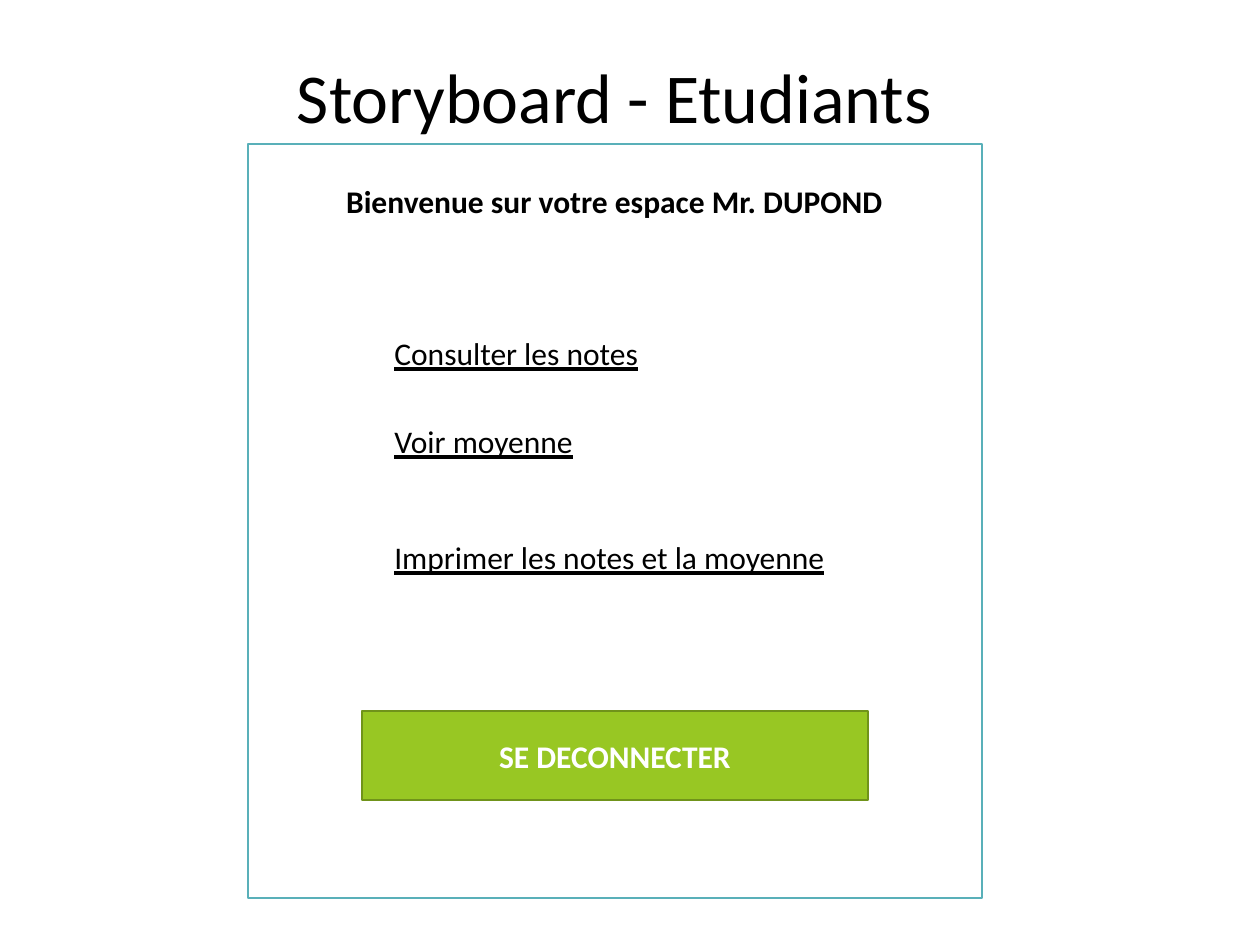
import pptx
import pptx.util
import pptx.dml.color
import pptx.enum.shapes
import pptx.enum.text
from dataclasses import dataclass

PX = 914400 / 126
ALIGN = pptx.enum.text.PP_ALIGN
ANCHOR = pptx.enum.text.MSO_ANCHOR


@dataclass(frozen=True)
class Theme:
    font: str = "Calibri"
    title_size: int = 40
    body_size: int = 18
    line_width: float = 1.25
    text: str = "000000"
    paper: str = "FFFFFF"
    panel_line: str = "59B0B9"
    button_fill: str = "98C723"
    button_line: str = "70931A"


THEME = Theme()


def emu(*lengths):
    return [pptx.util.Emu(round(length * PX)) for length in lengths]


def rgb(code):
    return pptx.dml.color.RGBColor.from_string(code)


def write(shape, text, size=THEME.body_size, color=THEME.text,
          align=ALIGN.LEFT, anchor=ANCHOR.TOP, bold=False, underline=False):
    frame = shape.text_frame
    frame.text = text
    frame.word_wrap = True
    frame.vertical_anchor = anchor
    paragraph = frame.paragraphs[0]
    paragraph.alignment = align
    font = paragraph.font
    font.name = THEME.font
    font.size = pptx.util.Pt(size)
    font.bold = bold
    font.underline = underline
    font.color.rgb = rgb(color)


def add_title(slide, text, box):
    title = slide.shapes.title
    title.left, title.top, title.width, title.height = emu(*box)
    write(title, text, THEME.title_size, align=ALIGN.CENTER,
          anchor=ANCHOR.MIDDLE)


def add_box(shapes, box, fill, line):
    rectangle = shapes.add_shape(
        pptx.enum.shapes.MSO_SHAPE.RECTANGLE, *emu(*box))
    rectangle.shadow.inherit = False
    rectangle.fill.solid()
    rectangle.fill.fore_color.rgb = rgb(fill)
    rectangle.line.color.rgb = rgb(line)
    rectangle.line.width = pptx.util.Pt(THEME.line_width)
    return rectangle


def add_label(shapes, text, box, **style):
    write(shapes.add_textbox(*emu(*box)), text, **style)


def main():
    deck = pptx.Presentation()
    deck.slide_width, deck.slide_height = emu(1260, 945)
    slide = deck.slides.add_slide(deck.slide_layouts[5])
    add_title(slide, "Storyboard - Etudiants", (79, 47, 1071, 97))

    screen = slide.shapes.add_group_shape().shapes
    add_box(screen, (248, 144, 734, 754), THEME.paper, THEME.panel_line)

    links = (("Consulter les notes", 328),
             ("Voir moyenne", 416),
             ("Imprimer les notes et la moyenne", 532))
    for text, top in links:
        add_label(screen, text, (382, top, 566, 50), underline=True)

    add_label(screen, "Bienvenue sur votre espace Mr. DUPOND",
              (302, 176, 625, 50), align=ALIGN.CENTER, bold=True)

    logout = add_box(screen, (362, 711, 506, 89),
                     THEME.button_fill, THEME.button_line)
    write(logout, "SE DECONNECTER", color=THEME.paper, align=ALIGN.CENTER,
          anchor=ANCHOR.MIDDLE, bold=True)

    deck.save("out.pptx")


if __name__ == "__main__":
    main()
